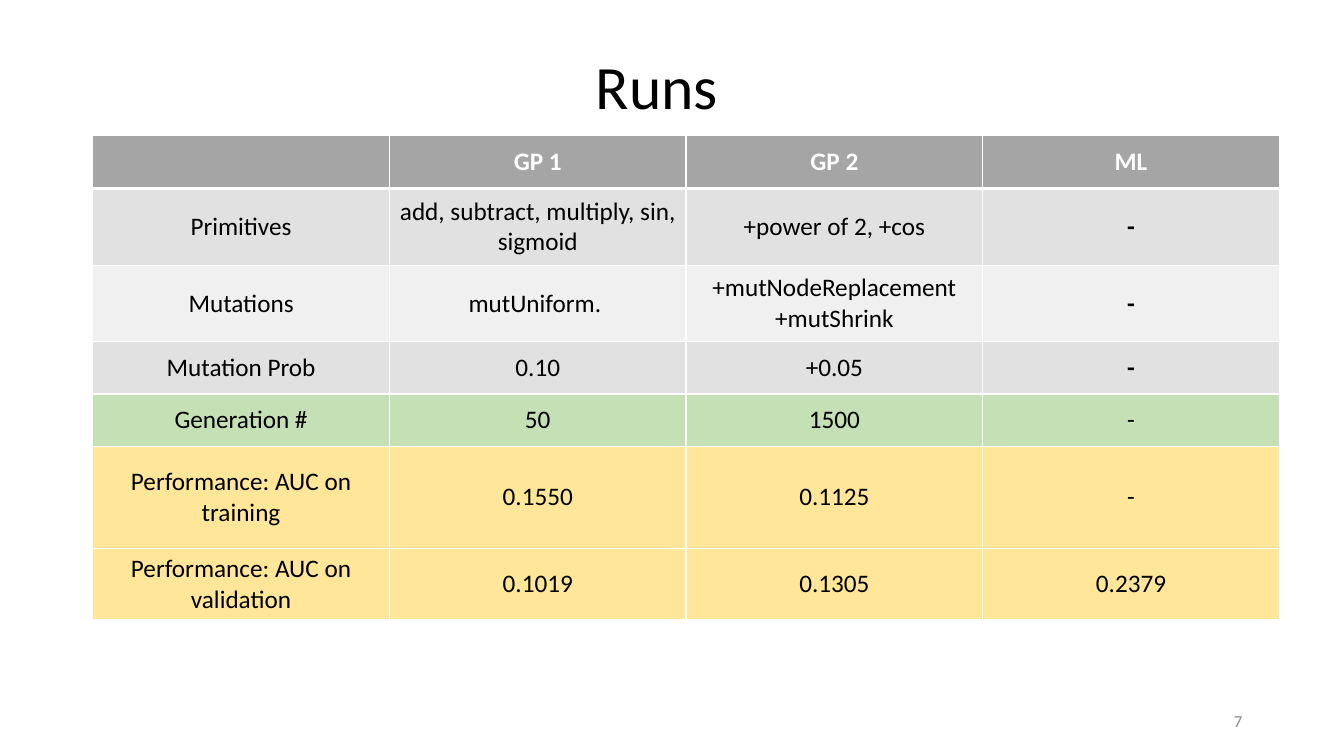
from typing import NamedTuple

from lxml import etree
from pptx import Presentation
from pptx.dml import color
from pptx.enum import text
from pptx.oxml import ns
from pptx.util import Inches, Pt

FONT = "Calibri"
BLACK, WHITE, GREY = "000000", "FFFFFF", "8C8C8C"


class Row(NamedTuple):
    height: float
    fill: str
    values: tuple[str, ...]
    bold_columns: tuple[int, ...] = ()
    ink: str = BLACK
    bottom_border: float = 1


HEADER, DARK, LIGHT, GREEN, YELLOW = "A5A5A5", "E1E1E1", "F0F0F0", "C5E0B4", "FFE699"
ROWS = [
    Row(0.53, HEADER, ("", "GP 1", "GP 2", "ML"), (0, 1, 2, 3), WHITE, 3),
    Row(0.76, DARK, ("Primitives", "add, subtract, multiply, sin, sigmoid",
                     "+power of 2, +cos", "-"), (3,)),
    Row(0.76, LIGHT, ("Mutations", "mutUniform. ",
                      "+mutNodeReplacement +mutShrink", "-"), (3,)),
    Row(0.52, DARK, ("Mutation Prob", "0.10", "+0.05", "-"), (3,)),
    Row(0.52, GREEN, ("Generation #", "50", "1500", "-")),
    Row(1.01, YELLOW, ("Performance: AUC on training", "0.1550", "0.1125", "-")),
    Row(0.7, YELLOW, ("Performance: AUC on validation", "0.1019", "0.1305", "0.2379")),
]


def rgb(value: str) -> color.RGBColor:
    return color.RGBColor.from_string(value)


def write(frame, words: str, size: float, ink: str, align, bold: bool = False) -> None:
    frame.text = words
    para = frame.paragraphs[0]
    para.alignment = align
    para.font.size = Pt(size)
    for span in para.runs:
        span.font.name = FONT
        span.font.size = Pt(size)
        span.font.bold = bold
        span.font.color.rgb = rgb(ink)


def add_border(cell, side: str, width: float) -> None:
    properties = cell._tc.get_or_add_tcPr()
    line = etree.SubElement(properties, ns.qn(f"a:ln{side}"), w=str(Pt(width)))
    fill = etree.SubElement(line, ns.qn("a:solidFill"))
    etree.SubElement(fill, ns.qn("a:srgbClr"), val=WHITE)


def fill_row(table, index: int) -> None:
    row = ROWS[index]
    top_border = ROWS[index - 1].bottom_border if index else 1
    table.rows[index].height = Inches(row.height)
    for column, words in enumerate(row.values):
        cell = table.cell(index, column)
        for side, width in zip("LRTB", (1, 1, top_border, row.bottom_border)):
            add_border(cell, side, width)
        cell.fill.solid()
        cell.fill.fore_color.rgb = rgb(row.fill)
        cell.vertical_anchor = text.MSO_ANCHOR.MIDDLE
        write(cell.text_frame, words, 18, row.ink, text.PP_ALIGN.CENTER,
              column in row.bold_columns)


deck = Presentation()
deck.slide_width, deck.slide_height = Inches(13.33), Inches(7.5)
page = deck.slides.add_slide(deck.slide_layouts[5])

# Title
title = page.shapes.title
title.left, title.top = Inches(2.79), Inches(0.28)
title.width, title.height = Inches(7.45), Inches(0.99)
title.text_frame.vertical_anchor = text.MSO_ANCHOR.BOTTOM
title.text_frame.auto_size = text.MSO_AUTO_SIZE.NONE
write(title.text_frame, "Runs", 44, BLACK, text.PP_ALIGN.CENTER)
title.text_frame.paragraphs[0].line_spacing = 0.9

# Table of runs
COLUMNS = len(ROWS[0].values)
table = page.shapes.add_table(
    len(ROWS), COLUMNS, Inches(0.92), Inches(1.34),
    Inches(11.77), Inches(sum(row.height for row in ROWS))).table
table.first_row = True
table.horz_banding = False
for index in range(len(ROWS)):
    fill_row(table, index)

# Page number
number = page.shapes.add_textbox(Inches(9.42), Inches(6.95), Inches(3), Inches(0.4))
number.text_frame.word_wrap = True
number.text_frame.vertical_anchor = text.MSO_ANCHOR.MIDDLE
write(number.text_frame, "7", 12, GREY, text.PP_ALIGN.RIGHT)

deck.save("out.pptx")
